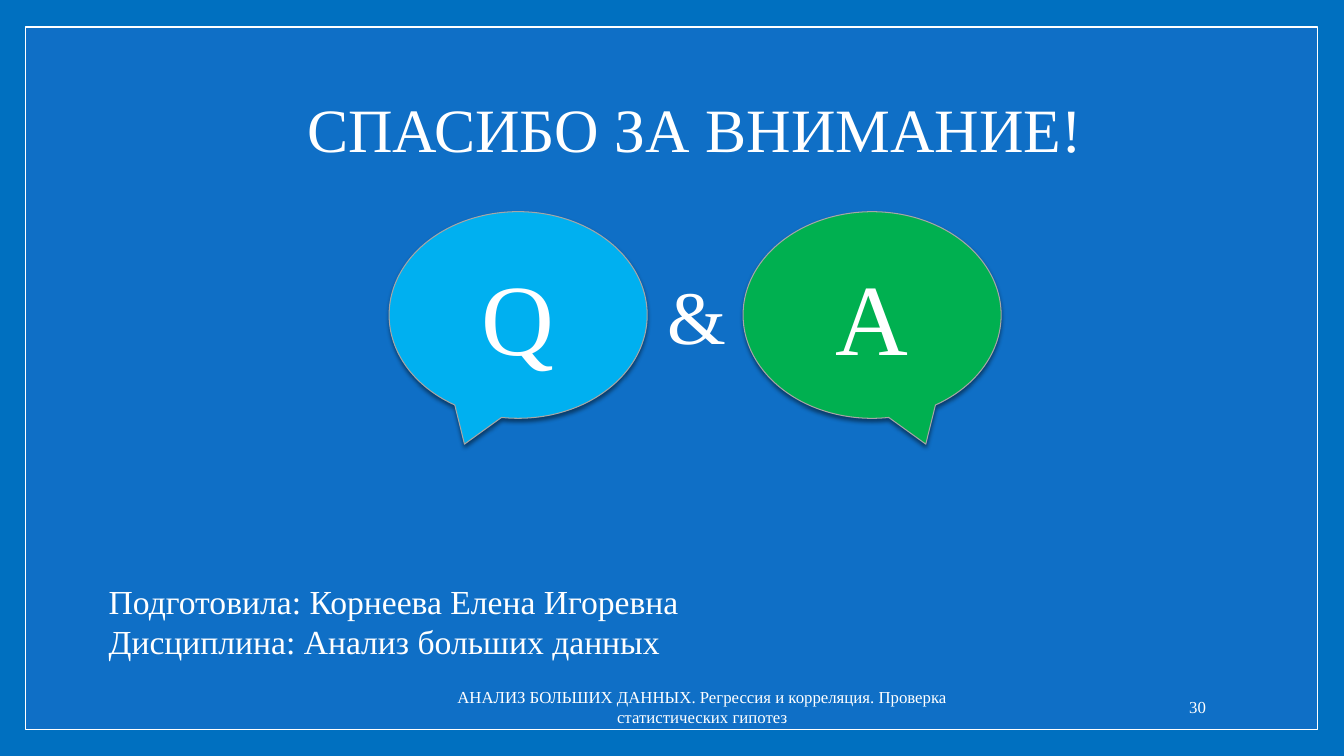
from lxml import etree
from pptx import Presentation
from pptx.dml.color import RGBColor
from pptx.enum import shapes, text
from pptx.oxml import ns
from pptx.util import Inches, Pt

WHITE = "FFFFFF"
LEFT, CENTER, RIGHT = text.PP_ALIGN.LEFT, text.PP_ALIGN.CENTER, text.PP_ALIGN.RIGHT
TOP, MIDDLE = text.MSO_ANCHOR.TOP, text.MSO_ANCHOR.MIDDLE


def color(hex_code):
    return RGBColor.from_string(hex_code)


def write(box, lines, size, align, anchor):
    frame = box.text_frame
    frame.word_wrap = True
    frame.vertical_anchor = anchor
    for index, line in enumerate(lines):
        para = frame.paragraphs[0] if index == 0 else frame.add_paragraph()
        para.alignment = align
        span = para.add_run()
        span.text = line
        span.font.size = Pt(size)
        span.font.name = "Times New Roman"
        span.font.color.rgb = color(WHITE)
    return frame


deck = Presentation()
deck.slide_width, deck.slide_height = Inches(13.33), Inches(7.5)
page = deck.slides.add_slide(deck.slide_layouts[6])
page.background.fill.solid()
page.background.fill.fore_color.rgb = color("0070C0")

# Framed panel
panel = page.shapes.add_shape(shapes.MSO_SHAPE.RECTANGLE,
                              Inches(0.25), Inches(0.27), Inches(12.82), Inches(6.97))
panel.shadow.inherit = False
panel.fill.solid()
panel.fill.fore_color.rgb = color("0F6FC6")
panel.line.color.rgb = color(WHITE)
panel.line.width = Pt(1)

# Title
title = page.shapes.add_textbox(Inches(2.28), Inches(0.68), Inches(9.23), Inches(1.27))
title_frame = write(title, ["СПАСИБО ЗА ВНИМАНИЕ!"], 44, CENTER, MIDDLE)
title_frame.margin_top = title_frame.margin_bottom = Inches(0.1)
title_frame.paragraphs[0].line_spacing = 0.9

# Author, footer and slide number
captions = [
    (0.98, 5.71, 10.16, 0.91, 24, LEFT, TOP,
     ["Подготовила: Корнеева Елена Игоревна", "Дисциплина: Анализ больших данных"]),
    (4.32, 6.81, 5.29, 0.4, 12, CENTER, MIDDLE,
     ["АНАЛИЗ БОЛЬШИХ ДАННЫХ. Регрессия и корреляция. Проверка статистических гипотез"]),
    (10.2, 6.81, 1.86, 0.4, 12, RIGHT, MIDDLE, ["30"]),
]
for left, top, width, height, size, align, anchor, lines in captions:
    caption = page.shapes.add_textbox(Inches(left), Inches(top), Inches(width), Inches(height))
    write(caption, lines, size, align, anchor)

# Question and answer bubbles, with mirrored tails
group = page.shapes.add_group_shape()
for letter, left, fill, tail in [("Q", 3.86, "00B0F0", -0.208), ("A", 7.37, "00B050", 0.208)]:
    bubble = group.shapes.add_shape(shapes.MSO_SHAPE.OVAL_CALLOUT,
                                    Inches(left), Inches(2.1), Inches(2.56), Inches(2.05))
    bubble.adjustments[0] = tail
    bubble.adjustments[1] = 0.625
    bubble.fill.solid()
    bubble.fill.fore_color.rgb = color(fill)
    bubble.line.color.rgb = color("A6A6A6")
    bubble.line.width = Pt(0)
    write(bubble, [letter], 72, CENTER, MIDDLE)

    # Soft shadow straight below
    bubble.shadow.inherit = False
    effects = bubble.element.spPr.find(ns.qn("a:effectLst"))
    shadow = etree.SubElement(effects, ns.qn("a:outerShdw"), blurRad=str(Pt(3)),
                              dist=str(Pt(2)), dir="5400000", rotWithShape="0")
    shade = etree.SubElement(shadow, ns.qn("a:srgbClr"), val="000000")
    etree.SubElement(shade, ns.qn("a:alpha"), val="45000")

ampersand = group.shapes.add_textbox(Inches(6.52), Inches(2.62), Inches(0.68), Inches(1))
write(ampersand, ["&"], 54, LEFT, TOP)

deck.save("out.pptx")
